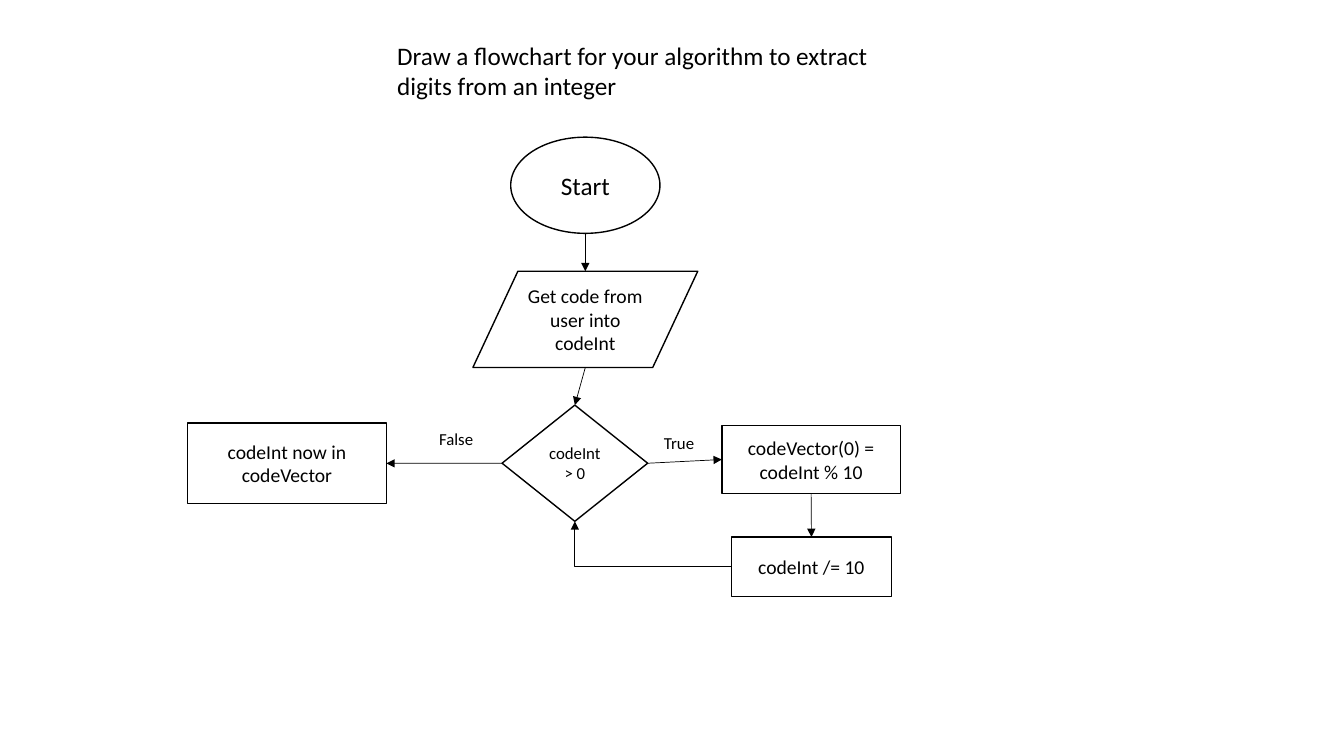
from lxml.etree import SubElement
from pptx import Presentation
from pptx.dml.color import RGBColor
from pptx.enum.shapes import MSO_CONNECTOR as Link, MSO_SHAPE as Shape
from pptx.enum.text import MSO_ANCHOR as Anchor, MSO_AUTO_SIZE as AutoSize, PP_ALIGN as Align
from pptx.oxml.ns import qn
from pptx.util import Pt

TOP, LEFT, BOTTOM, RIGHT = range(4)


def color(hex_code):
    return RGBColor.from_string(hex_code)


class Flowchart:
    font, ink, paper = "Calibri", "000000", "FFFFFF"
    joinable = (Shape.RECTANGLE, Shape.FLOWCHART_DECISION)

    def __init__(self, slide):
        self.slide = slide

    def set_text(self, shape, text, size, align, anchor):
        frame = shape.text_frame
        frame.text = text
        frame.word_wrap = True
        frame.auto_size = AutoSize.NONE
        frame.vertical_anchor = anchor
        paragraph = frame.paragraphs[0]
        paragraph.alignment = align
        for run in paragraph.runs:
            run.font.name = self.font
            run.font.size = Pt(size)
            run.font.color.rgb = color(self.ink)

    def title(self, text, left, top, width, height):
        heading = self.slide.shapes.title
        heading.left, heading.top = Pt(left), Pt(top)
        heading.width, heading.height = Pt(width), Pt(height)
        self.set_text(heading, text, 18, Align.LEFT, Anchor.TOP)

    def step(self, kind, text, left, top, width, height, size=14):
        box = self.slide.shapes.add_shape(kind, Pt(left), Pt(top), Pt(width), Pt(height))
        box.shadow.inherit = False
        box.fill.solid()
        box.fill.fore_color.rgb = color(self.paper)
        box.line.color.rgb = color(self.ink)
        box.line.width = Pt(1)
        self.set_text(box, text, size, Align.CENTER, Anchor.MIDDLE)
        return box

    def label(self, text, left, top):
        box = self.slide.shapes.add_textbox(Pt(left), Pt(top), Pt(44), Pt(21.8))
        self.set_text(box, text, 12, Align.LEFT, Anchor.TOP)

    def side_point(self, box, side):
        """Return the middle of one side of a step."""
        across = {LEFT: 0, RIGHT: box.width}.get(side, box.width // 2)
        down = {TOP: 0, BOTTOM: box.height}.get(side, box.height // 2)
        return box.left + across, box.top + down

    def arrow(self, source, source_side, target, target_side, kind=Link.STRAIGHT):
        link = self.slide.shapes.add_connector(
            kind, *self.side_point(source, source_side), *self.side_point(target, target_side))
        if source.auto_shape_type in self.joinable:
            link.begin_connect(source, source_side)
        if target.auto_shape_type in self.joinable:
            link.end_connect(target, target_side)
        link.line.color.rgb = color(self.ink)
        link.line.width = Pt(0.5)
        properties = link._element.spPr
        SubElement(properties.find(qn("a:ln")), qn("a:tailEnd"), type="triangle")
        SubElement(properties, qn("a:effectLst"))
        return properties

    def corner_arrow(self, source, source_side, target, target_side):
        """Draw a one-bend arrow that runs left and then up."""
        properties = self.arrow(source, source_side, target, target_side, Link.ELBOW)
        properties.find(qn("a:prstGeom")).set("prst", "bentConnector2")
        placement = properties.find(qn("a:xfrm"))
        for flip in ("flipH", "flipV"):
            placement.attrib.pop(flip, None)
        placement.set("rot", "10800000")


def main():
    deck = Presentation()
    deck.slide_width, deck.slide_height = Pt(960), Pt(540)
    chart = Flowchart(deck.slides.add_slide(deck.slide_layouts[5]))

    chart.title("Draw a flowchart for your algorithm to extract digits from an integer",
                276.5, 25.2, 360.7, 51)
    start = chart.step(Shape.OVAL, "Start", 364.8, 98, 106.6, 68.7, size=18)
    get_code = chart.step(Shape.FLOWCHART_DATA, "Get code from user into codeInt",
                          337.8, 193.8, 160.6, 68.7)
    is_positive = chart.step(Shape.FLOWCHART_DECISION, "codeInt > 0",
                             358.6, 289.4, 104, 83, size=12)
    take_digit = chart.step(Shape.RECTANGLE, "codeVector(0) = codeInt % 10",
                            515.6, 304, 127.6, 48.5)
    drop_digit = chart.step(Shape.RECTANGLE, "codeInt /= 10", 522.4, 383.6, 114.4, 42.5)
    result = chart.step(Shape.RECTANGLE, "codeInt now in codeVector", 134, 302.2, 142, 57.5)

    chart.arrow(start, BOTTOM, get_code, TOP)
    chart.arrow(get_code, BOTTOM, is_positive, TOP)
    chart.arrow(is_positive, RIGHT, take_digit, LEFT)
    chart.arrow(take_digit, BOTTOM, drop_digit, TOP)
    chart.corner_arrow(drop_digit, LEFT, is_positive, BOTTOM)
    chart.arrow(is_positive, LEFT, result, RIGHT)

    chart.label("True", 467.2, 305.2)
    chart.label("False", 306.6, 303)
    deck.save("out.pptx")


if __name__ == "__main__":
    main()
